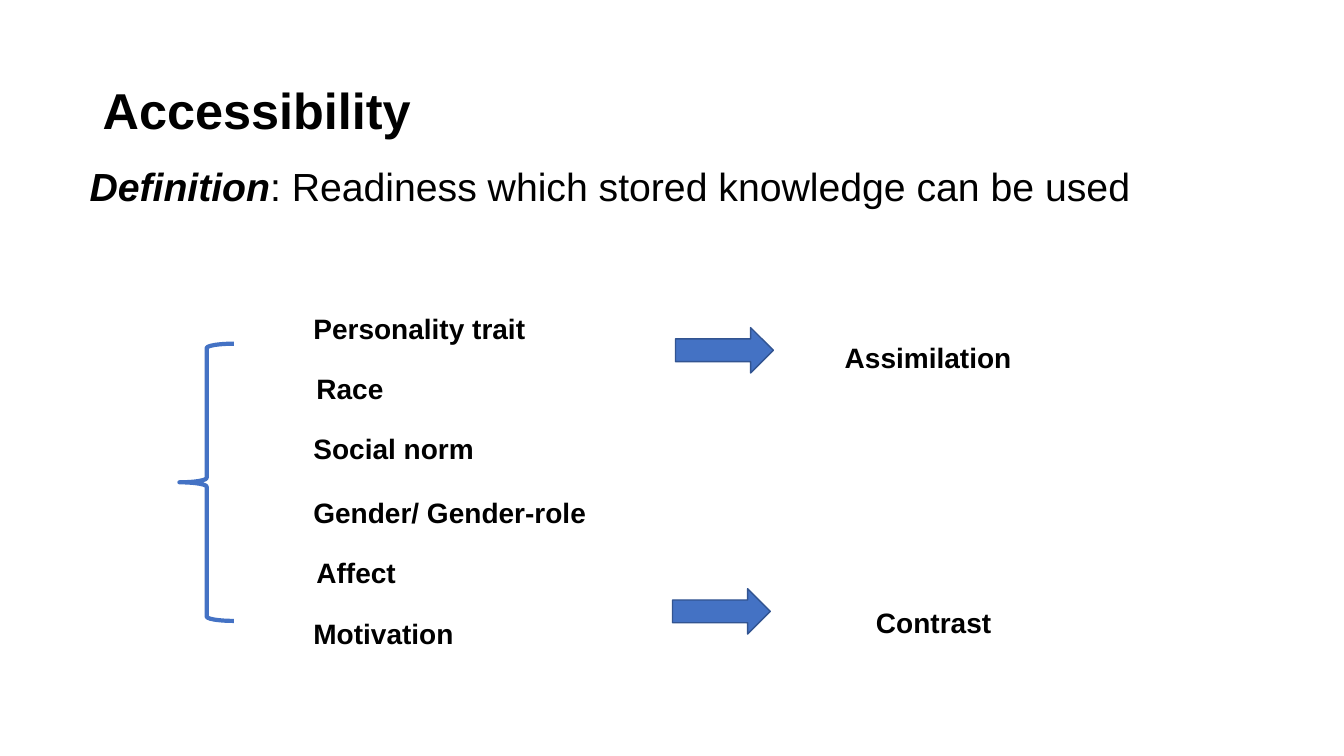
from pptx import Presentation
from pptx.dml.color import RGBColor
from pptx.enum.shapes import MSO_SHAPE as Preset
from pptx.enum.text import MSO_ANCHOR as Anchor
from pptx.util import Inches, Pt

COLOURS = {"text": "000000", "blue": "4472C4", "outline": "325491"}
FACTOR_GROUPS = [
    (2.87, ["Personality trait", "Race", "Social norm"]),
    (4.7, ["Gender/ Gender-role", "Affect", "Motivation"]),
]
FACTOR_STEP = 0.6
# Outcome, label left and top, arrow left and top
OUTCOMES = [
    ("Assimilation", 8.28, 3.16, 6.7, 3.25),
    ("Contrast", 8.59, 5.79, 6.67, 5.84),
]


def colour(name):
    return RGBColor.from_string(COLOURS[name])


def add_text(page, text, left, top, width, height, size, spacing, bold=True):
    box = page.shapes.add_textbox(Inches(left), Inches(top), Inches(width), Inches(height))
    box.text_frame.word_wrap = True
    para = box.text_frame.paragraphs[0]
    para.text = text
    para.line_spacing = spacing
    para.font.name = "Arial"
    para.font.size = Pt(size)
    para.font.bold = bold
    para.font.color.rgb = colour("text")
    return box


def add_label(page, text, left, top):
    add_text(page, text, left, top, 3.5, 0.54, 20, 1.5)


def add_preset(page, preset, left, top, width, height, line, weight):
    shape = page.shapes.add_shape(preset, Inches(left), Inches(top), Inches(width), Inches(height))
    shape.shadow.inherit = False
    shape.line.color.rgb = colour(line)
    shape.line.width = Pt(weight)
    return shape


def add_arrow(page, left, top):
    arrow = add_preset(page, Preset.RIGHT_ARROW, left, top, 0.97, 0.45, "outline", 1)
    arrow.fill.solid()
    arrow.fill.fore_color.rgb = colour("blue")


def add_brace(page):
    brace = add_preset(page, Preset.LEFT_BRACE, 1.78, 3.41, 0.54, 2.75, "blue", 3)
    brace.fill.background()
    brace.adjustments[0] = 0.08
    brace.adjustments[1] = 0.5


def add_definition(page):
    box = add_text(page, "", 0.79, 1.65, 11.5, 0.5, 28, 0.8, bold=False)
    para = box.text_frame.paragraphs[0]
    term = para.add_run()
    term.text = "Definition"
    term.font.bold = term.font.italic = True
    meaning = para.add_run()
    meaning.text = ": Readiness which stored knowledge can be used"
    # Runs added to an empty paragraph share its font
    for span in para.runs:
        span.font.name = "Arial"
        span.font.size = Pt(28)
        span.font.color.rgb = colour("text")


def main():
    deck = Presentation()
    deck.slide_width, deck.slide_height = Inches(13.33), Inches(7.5)
    page = deck.slides.add_slide(deck.slide_layouts[6])

    # Heading and definition
    title = add_text(page, "Accessibility", 0.92, 0.4, 11.5, 1.45, 36, 0.9)
    title.text_frame.vertical_anchor = Anchor.MIDDLE
    add_definition(page)

    # Factors, the middle one of each group slightly indented
    add_brace(page)
    for top, factors in FACTOR_GROUPS:
        for row, factor in enumerate(factors):
            left = 3.04 if row == 1 else 3.01
            add_label(page, factor, left, top + row * FACTOR_STEP)

    # Outcomes
    for outcome, left, top, arrow_left, arrow_top in OUTCOMES:
        add_arrow(page, arrow_left, arrow_top)
        add_label(page, outcome, left, top)

    deck.save("out.pptx")


if __name__ == "__main__":
    main()
